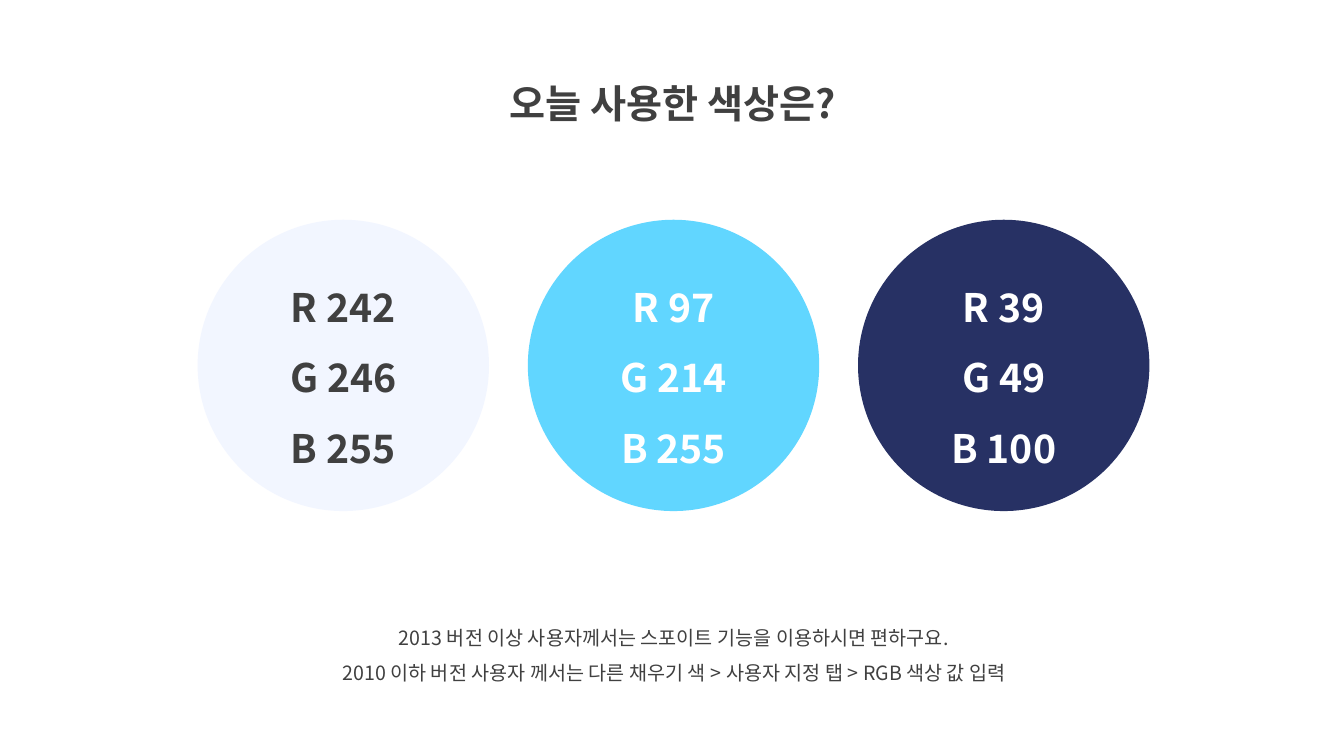
from lxml import etree
from pptx import Presentation
from pptx.dml.color import RGBColor
from pptx.enum.shapes import MSO_SHAPE
from pptx.enum.text import MSO_ANCHOR, MSO_AUTO_SIZE, PP_ALIGN
from pptx.oxml.ns import qn
from pptx.util import Inches, Pt

CIRCLE = MSO_SHAPE.OVAL
TOP, MIDDLE = MSO_ANCHOR.TOP, MSO_ANCHOR.MIDDLE
CENTER = PP_ALIGN.CENTER
NO_AUTOFIT = MSO_AUTO_SIZE.NONE

FONT = "Noto Sans CJK KR"
COLORS = {
    "ink": "404040",
    "white": "FFFFFF",
    "pale": "F2F6FF",
    "sky": "61D6FF",
    "navy": "273164",
}
SLIDE_WIDTH, SLIDE_HEIGHT = 13.33, 7.5

# Boxes as left, top, width, height in inches
TITLE_BOX = (4.36, 0.5, 4.63, 0.72)
SWATCH_BOX = (1.96, 2.18, 9.44, 2.89)
GUIDE_BOX = (2.69, 6.04, 7.99, 0.81)

SWATCHES = [("pale", "ink"), ("sky", "white"), ("navy", "white")]
GUIDE_LINES = [
    "2013 버전 이상 사용자께서는 스포이트 기능을 이용하시면 편하구요.",
    "2010 이하 버전 사용자 께서는 다른 채우기 색 > 사용자 지정 탭 > RGB 색상 값 입력",
]


def rgb(name):
    return RGBColor.from_string(COLORS[name])


def write_text(shape, lines, size=28, color="ink", bold=False, anchor=TOP):
    """Fill a shape with centred lines and no bullets."""
    frame = shape.text_frame
    frame.word_wrap = True
    frame.auto_size = NO_AUTOFIT
    frame.vertical_anchor = anchor
    frame.text = "\n".join(lines)
    for paragraph in frame.paragraphs:
        paragraph.alignment = CENTER
        paragraph.line_spacing = 1.5
        paragraph.space_before = paragraph.space_after = Pt(0)
        properties = paragraph._p.get_or_add_pPr()
        properties.set("marL", "0")
        properties.set("indent", "0")
        etree.SubElement(properties, qn("a:buNone"))
        for run in paragraph.runs:
            run.font.name = FONT
            run.font.size = Pt(size)
            run.font.bold = bold
            run.font.color.rgb = rgb(color)
            east_asian = etree.SubElement(run.font._element, qn("a:ea"))
            east_asian.set("typeface", FONT)


def place(shape, box):
    shape.left, shape.top, shape.width, shape.height = map(Inches, box)


def add_title(slide, box):
    title = slide.shapes.title
    place(title, box)
    write_text(title, ["오늘 사용한 색상은?"], bold=True)


def add_swatches(slide, box):
    """Spread circles evenly, each labelled with its own colour values."""
    left, top, width, diameter = box
    step = (width - diameter) / (len(SWATCHES) - 1)
    for column, (fill, text_color) in enumerate(SWATCHES):
        circle = slide.shapes.add_shape(
            CIRCLE, Inches(left + column * step), Inches(top),
            Inches(diameter), Inches(diameter))
        circle.shadow.inherit = False
        circle.fill.solid()
        circle.fill.fore_color.rgb = rgb(fill)
        circle.line.fill.background()
        labels = [f"{channel} {value}" for channel, value in zip("RGB", rgb(fill))]
        write_text(circle, labels, color=text_color, bold=True, anchor=MIDDLE)


def add_guide(slide, box):
    guide = slide.placeholders[1]
    place(guide, box)
    write_text(guide, GUIDE_LINES, size=14)


def main():
    presentation = Presentation()
    presentation.slide_width = Inches(SLIDE_WIDTH)
    presentation.slide_height = Inches(SLIDE_HEIGHT)
    slide = presentation.slides.add_slide(presentation.slide_layouts[1])
    add_title(slide, TITLE_BOX)
    add_swatches(slide, SWATCH_BOX)
    add_guide(slide, GUIDE_BOX)
    presentation.save("out.pptx")


if __name__ == "__main__":
    main()
